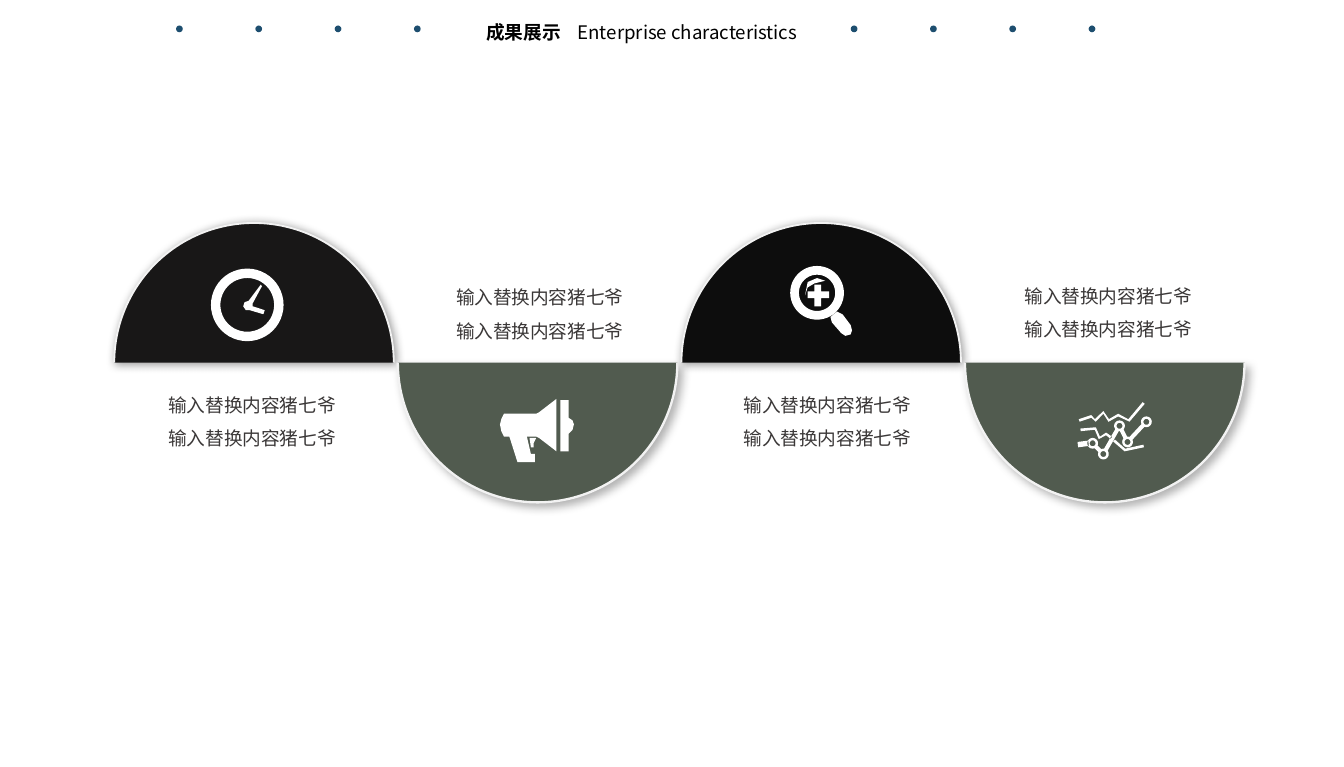
import math
from dataclasses import dataclass
import lxml.etree
import pptx
import pptx.util
import pptx.dml.color
import pptx.enum.shapes
import pptx.enum.text
import pptx.oxml.ns

Inches, Pt = pptx.util.Inches, pptx.util.Pt
SHAPE = pptx.enum.shapes.MSO_SHAPE
ALIGN = pptx.enum.text.PP_ALIGN
qn = pptx.oxml.ns.qn


@dataclass(frozen=True)
class Theme:
    font: str = "Noto Sans CJK SC"
    size: int = 10
    gap: int = 6
    dot: str = "1D4E6F"
    title: str = "000000"
    body: str = "3B3838"
    rim: str = "F2F2F2"
    icon: str = "FFFFFF"
    shade: str = "000000"
    coal: str = "181717"
    ink: str = "0D0D0D"
    moss: str = "515B4F"


T = Theme()


def rgb(code):
    return pptx.dml.color.RGBColor.from_string(code)


def paint(shape, code):
    shape.shadow.inherit = False
    shape.fill.solid()
    shape.fill.fore_color.rgb = rgb(code)
    shape.line.fill.background()


def write(slide, box, lines, color, bold=False, align=ALIGN.LEFT):
    frame = slide.shapes.add_textbox(*map(Inches, box)).text_frame
    frame.word_wrap = True
    for i, line in enumerate(lines):
        para = frame.paragraphs[0] if i == 0 else frame.add_paragraph()
        para.alignment = align
        if i:
            para.space_before = Pt(T.gap)
        run = para.add_run()
        run.text = line
        font = run.font
        font.name, font.size, font.bold = T.font, Pt(T.size), bold
        font.color.rgb = rgb(color)
        east = lxml.etree.SubElement(font._element, qn("a:ea"))
        east.set("typeface", T.font)


# Icon outlines, in hundredths of an inch from the icon's corner
def ring(x, y, *radii, steps=48):
    turns = [2 * math.pi * i / steps for i in range(steps)]
    return [[(x + r * math.cos(a), y + r * math.sin(a)) for a in turns]
            for r in radii]


def band(points, width):
    """Outline of a bent line of even width."""
    left, right = [], []
    last = len(points) - 1
    for i, (x, y) in enumerate(points):
        (ax, ay), (bx, by) = points[max(i - 1, 0)], points[min(i + 1, last)]
        k = width / 2 / math.hypot(bx - ax, by - ay)
        dx, dy = (ay - by) * k, (bx - ax) * k
        left.append((x + dx, y + dy))
        right.append((x - dx, y - dy))
    return left + right[::-1]


def clock():
    hands = [(31, 26), (38, 13), (37, 12), (28, 24), (25, 25), (24, 28),
             (26, 31), (29, 31), (39, 34), (40, 31), (31, 28)]
    return ring(27, 27, 27, 20) + [hands]


def horn():
    body = [(3, 11), (27, 11), (29, 10), (42, 0), (42, 39), (29, 29),
            (27, 28), (20, 28), (23, 41), (26, 41), (26, 47), (13, 47),
            (7, 28), (3, 28), (1, 24), (0, 19), (1, 15)]
    rim = [(45, 1), (51, 1), (51, 14), (54, 16), (55, 19), (54, 23),
           (51, 26), (51, 39), (45, 39)]
    grip = [(27, 29), (22, 29), (23, 36), (25, 36), (25, 33)]
    return [body, rim, grip]


def lens():
    grip = [(30, 38), (35, 34), (39, 36), (45, 44), (46, 48), (45, 51),
            (41, 52), (38, 50), (31, 42)]
    plus = [(18, 30), (23, 30), (23, 24), (29, 24), (29, 19), (23, 19),
            (23, 14), (18, 14), (18, 19), (13, 19), (13, 24), (18, 24)]
    glint = [(11, 22), (13, 16), (18, 13), (26, 11), (20, 9), (13, 12)]
    return ring(20, 20, 20, 13.5) + [grip, plus, glint]


def graph():
    nodes = [(11, 31), (19, 39), (31, 18), (37, 30), (51, 15)]
    parts = [band([(0, 32), (8, 31)], 4)]
    for x, y in nodes:
        parts += ring(x, y, 4, 2.2, steps=20)
    for (ax, ay), (bx, by) in zip(nodes, nodes[1:]):
        k = 3.8 / math.hypot(bx - ax, by - ay)
        dx, dy = (bx - ax) * k, (by - ay) * k
        parts.append(band([(ax + dx, ay + dy), (bx - dx, by - dy)], 3))
    lines = [
        [(1, 14), (10, 11), (13, 14), (19, 8), (23, 14), (30, 10),
         (38, 14), (49, 1)],
        [(2, 21), (13, 20), (16, 27), (21, 24), (25, 27)],
        [(27, 29), (35, 36), (49, 33)],
    ]
    return parts + [band(line, 2) for line in lines]


def draw(shapes, left, top, parts):
    def spot(p):
        return Inches(left + p[0] / 100), Inches(top + p[1] / 100)

    pen = None
    for part in parts:
        first, *rest = map(spot, part)
        if pen is None:
            pen = shapes.build_freeform(*first, scale=1.0)
        else:
            pen.move_to(*first)
        pen.add_line_segments(rest, close=True)
    paint(pen.convert_to_shape(), T.icon)


def shade(shape, alpha, dist):
    effects = shape._element.spPr.find(qn("a:effectLst"))
    outer = lxml.etree.SubElement(
        effects, qn("a:outerShdw"), blurRad=str(Pt(5)), dist=str(Pt(dist)),
        dir="2700000", algn="tl", rotWithShape="0")
    color = lxml.etree.SubElement(outer, qn("a:srgbClr"), val=T.shade)
    lxml.etree.SubElement(color, qn("a:alpha"), val=str(alpha * 1000))


# Half disc with its icon
def dome(slide, box, fill, up, icon, place):
    left, top, side = box
    shapes = slide.shapes.add_group_shape().shapes
    arc = shapes.add_shape(SHAPE.ARC, *map(Inches, (left, top, side, side)))
    # Angles in units of 100000/60000 degree: 108 is half a turn
    arc.adjustments[0], arc.adjustments[1] = (108, 0) if up else (0, 108)
    paint(arc, fill)
    arc.line.color.rgb = rgb(T.rim)
    arc.line.width = Pt(1 if up else 1.25)
    shade(arc, *((40, 1) if up else (30, 3)))
    draw(shapes, left + place[0], top + place[1], icon())


# Title between two rows of dots
def header(slide, left, top):
    for start in (0, 5.02):
        for i in range(4):
            x = left + start + i * 0.59
            dot = slide.shapes.add_shape(
                SHAPE.OVAL, *map(Inches, (x, top + 0.08, 0.05, 0.05)))
            paint(dot, T.dot)
    write(slide, (left + 2.21, top, 0.99, 0.27), ["成果展示"], T.title, True)
    write(slide, (left + 2.89, top, 1.91, 0.27),
          ["Enterprise characteristics"], T.title)


# Wave of four half discs, each with a caption on its open side
def wave(slide, left, top):
    side, step = 2.08, 2.11
    items = [
        (T.coal, clock, (0.72, 0.34), (-0.05, 1.22)),
        (T.moss, horn, (0.76, 1.31), (2.09, 0.42)),
        (T.ink, lens, (0.81, 0.32), (4.23, 1.22)),
        (T.moss, graph, (0.84, 1.33), (6.32, 0.41)),
    ]
    for i, (fill, icon, place, (x, y)) in enumerate(items):
        dome(slide, (left + i * step, top, side), fill, i % 2 == 0, icon, place)
        write(slide, (left + x, top + y, 2.15, 0.52),
              ["输入替换内容猪七爷"] * 2, T.body, align=ALIGN.CENTER)


def main():
    deck = pptx.Presentation()
    deck.slide_width, deck.slide_height = Inches(10), Inches(5.71)
    slide = deck.slides.add_slide(deck.slide_layouts[6])
    header(slide, 1.31, 0.11)
    wave(slide, 0.85, 1.66)
    deck.save("out.pptx")


if __name__ == "__main__":
    main()
